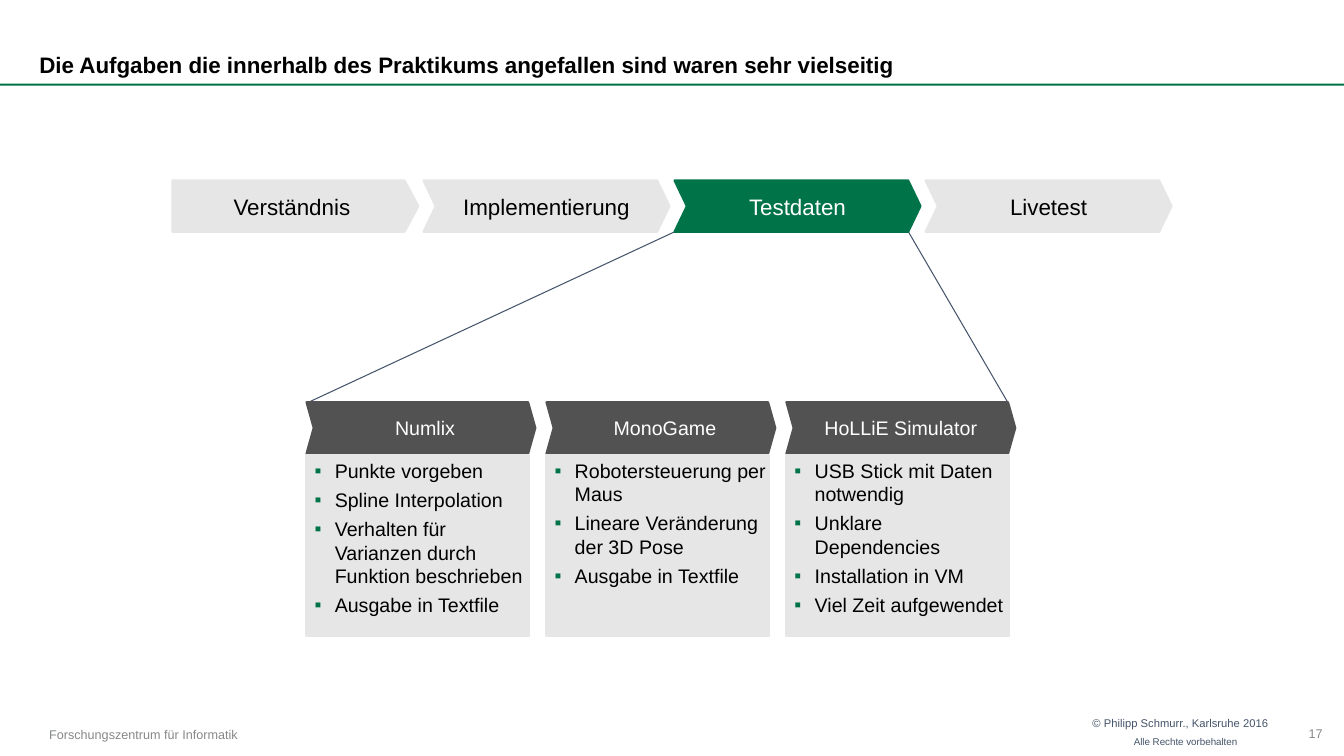
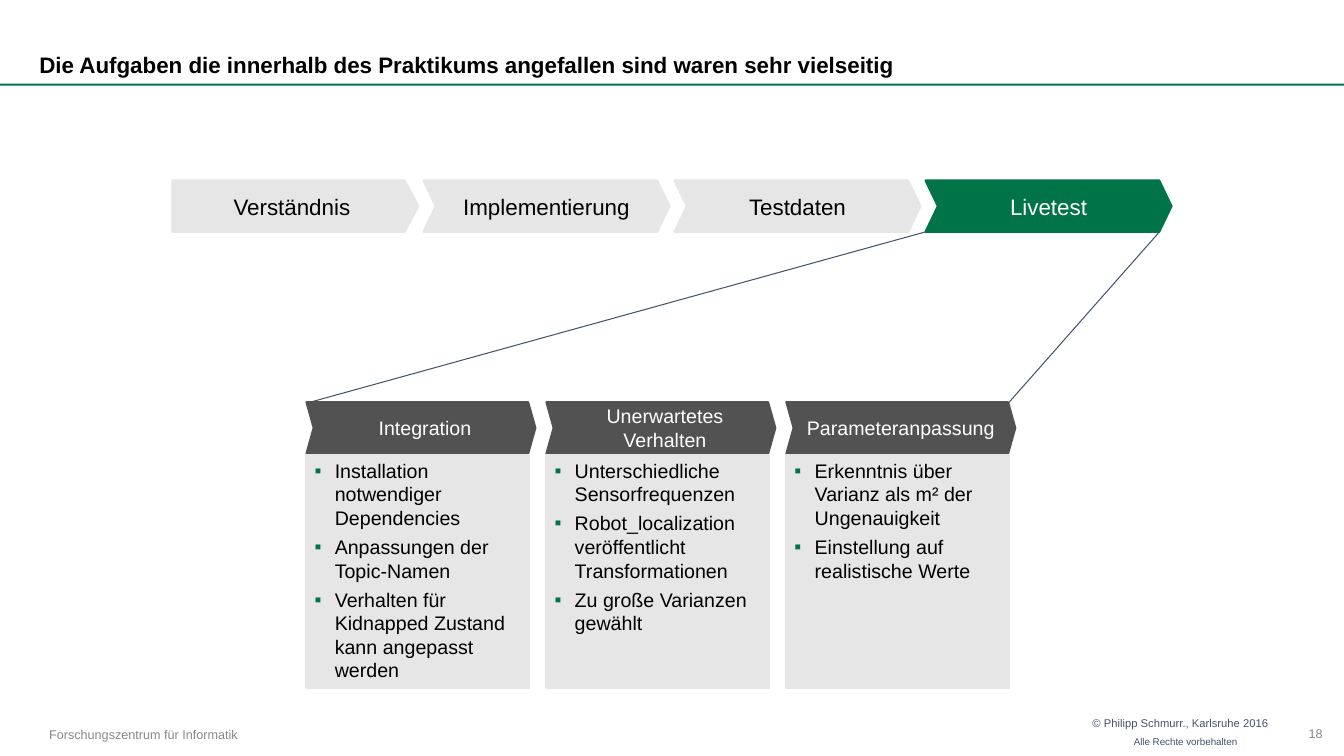
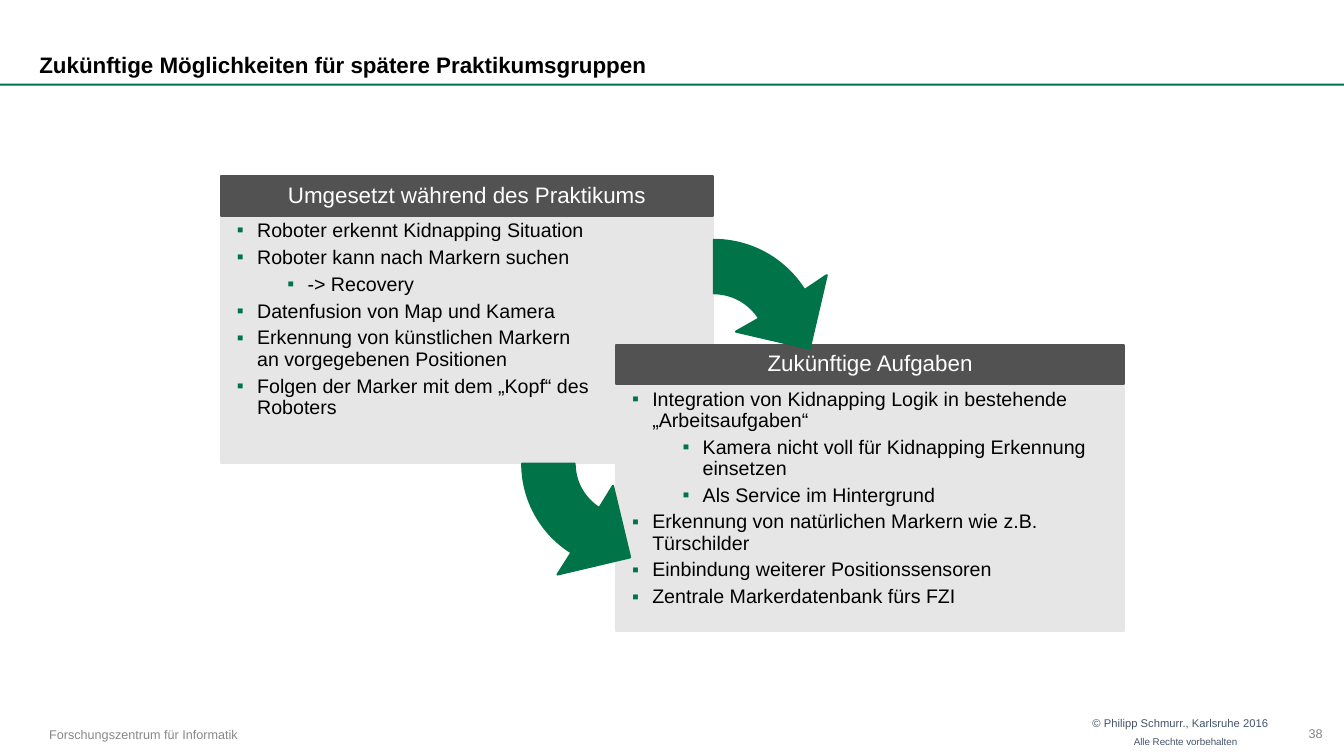
"""Build three slides on the tasks and the outlook of a robotics lab course."""
from math import cos, radians, sin

from lxml import etree
from pptx import Presentation
from pptx.dml.color import RGBColor
from pptx.enum.shapes import MSO_CONNECTOR, MSO_SHAPE as Kind
from pptx.enum.text import MSO_ANCHOR as Anchor, MSO_AUTO_SIZE, PP_ALIGN as Align
from pptx.oxml.ns import qn
from pptx.util import Inches, Pt

GREEN = RGBColor(0x00, 0x73, 0x48)
DARK = RGBColor(0x52, 0x52, 0x52)
LIGHT = RGBColor(0xE7, 0xE6, 0xE6)
SLATE = RGBColor(0x44, 0x54, 0x6A)
GREY = RGBColor(0x86, 0x88, 0x89)
BLACK = RGBColor(0x00, 0x00, 0x00)
WHITE = RGBColor(0xFF, 0xFF, 0xFF)
FONT = "Arial"


def write(shape, *lines, size, color=BLACK, bold=False, align=Align.LEFT, anchor=Anchor.TOP,
          insets=(0.1, 0.05, 0.1, 0.05), spacing=None, wrap=True, bullets=False, sub_items=()):
    """Fill a shape with one formatted paragraph per line."""
    frame = shape.text_frame
    frame.auto_size = MSO_AUTO_SIZE.NONE
    frame.word_wrap = wrap
    frame.vertical_anchor = anchor
    frame.margin_left, frame.margin_top, frame.margin_right, frame.margin_bottom = map(Inches, insets)
    for index, line in enumerate(lines):
        para = frame.add_paragraph() if index else frame.paragraphs[0]
        if bullets:
            level = 1 if index in sub_items else 0
            para.level = level
            props = para._p.get_or_add_pPr()
            props.set("marL", str(Inches(0.28 + 0.5 * level)))
            props.set("indent", str(Inches(-0.2)))
            tint = etree.SubElement(props, qn("a:buClr"))
            etree.SubElement(tint, qn("a:srgbClr"), val=str(GREEN))
            etree.SubElement(props, qn("a:buFont"), typeface=FONT)
            etree.SubElement(props, qn("a:buChar"), char="▪")
            para.space_before = Pt(2 if index else 0)
            para.space_after = Pt(2)
        para.alignment = align
        if spacing:
            para.line_spacing = spacing
        span = para.add_run()
        span.text = line
        span.font.name = FONT
        span.font.size = Pt(size)
        span.font.bold = bold
        span.font.color.rgb = color


def paint(shape, color):
    """Give a shape a flat fill with a matching outline."""
    shape.shadow.inherit = False
    shape.fill.solid()
    shape.fill.fore_color.rgb = color
    shape.line.color.rgb = color
    shape.line.width = Pt(1.5)
    return shape


deck = Presentation()
deck.slide_width, deck.slide_height = Inches(13.33), Inches(7.5)
layout = deck.slide_layouts[5]

TASKS = "Die Aufgaben die innerhalb des Praktikums angefallen sind waren sehr vielseitig"
OUTLOOK = "Zukünftige Möglichkeiten für spätere Praktikumsgruppen"
pages = []
for title, number in ((TASKS, "17"), (TASKS, "18"), (OUTLOOK, "38")):
    page = deck.slides.add_slide(layout)
    heading = page.shapes.title
    heading.left, heading.top, heading.width, heading.height = map(Inches, (0, 0, 10.97, 0.83))
    write(heading, title, size=16, bold=True, anchor=Anchor.BOTTOM, spacing=0.9,
          insets=(0.39, 0.05, 0.1, 0.05))
    box = page.shapes.add_textbox(*map(Inches, (12.88, 7.06, 0.45, 0.44)))
    write(box, number, size=9, color=GREY, anchor=Anchor.MIDDLE)
    pages.append(page)

shapes = pages[0].shapes
rule = paint(shapes.add_shape(Kind.RECTANGLE, *map(Inches, (0, 0.83, 13.33, 0.02))), GREEN)
rule.line.fill.background()
rights = shapes.add_textbox(*map(Inches, (10.71, 7.06, 1.97, 0.44)))
write(rights, "© Philipp Schmurr., Karlsruhe 2016", size=8, color=SLATE, align=Align.RIGHT, wrap=False)
reserved = shapes.add_textbox(*map(Inches, (11.02, 7.25, 1.35, 0.25)))
write(reserved, "Alle Rechte vorbehalten", size=7, color=SLATE, align=Align.RIGHT)
institute = shapes.add_textbox(*map(Inches, (0.39, 7.07, 2.13, 0.43)))
write(institute, "Forschungszentrum für Informatik", size=9, color=GREY, anchor=Anchor.MIDDLE)
for shared in (rule, rights, reserved, institute):
    layout.shapes.element.append(shared.element)

STEPS = ("Verständnis", "Implementierung", "Testdaten", "Livetest")
STEP_LEFT, STEP_PITCH = 1.71, 2.49
COLUMN_LEFT, COLUMN_PITCH = 3.04, 2.38
details = (
    (2, 1.8, (
        ("Numlix", ("Punkte vorgeben", "Spline Interpolation",
                    "Verhalten für Varianzen durch Funktion beschrieben", "Ausgabe in Textfile")),
        ("MonoGame", ("Robotersteuerung per Maus", "Lineare Veränderung der 3D Pose",
                      "Ausgabe in Textfile")),
        ("HoLLiE Simulator", ("USB Stick mit Daten notwendig", "Unklare Dependencies",
                              "Installation in VM", "Viel Zeit aufgewendet")),
    )),
    (3, 2.32, (
        ("Integration", ("Installation notwendiger Dependencies", "Anpassungen der Topic-Namen",
                         "Verhalten für Kidnapped Zustand kann angepasst werden")),
        ("Unerwartetes Verhalten", ("Unterschiedliche Sensorfrequenzen",
                                    "Robot_localization veröffentlicht Transformationen",
                                    "Zu große Varianzen gewählt")),
        ("Parameteranpassung", ("Erkenntnis über Varianz als m² der Ungenauigkeit",
                                "Einstellung auf realistische Werte")),
    )),
)
for page, (active, body_height, columns) in zip(pages, details):
    active_left = STEP_LEFT + active * STEP_PITCH
    for start, end in ((active_left, COLUMN_LEFT), (active_left + 2.32, 10)):
        line = page.shapes.add_connector(MSO_CONNECTOR.STRAIGHT, *map(Inches, (start, 2.3, end, 4)))
        line.line.color.rgb = SLATE
        line.line.width = Pt(0.75)
        etree.SubElement(line.element.spPr, qn("a:effectLst"))
    for index, name in enumerate(STEPS):
        kind, point = (Kind.CHEVRON, 0.24) if index else (Kind.PENTAGON, 0.27)
        place = (STEP_LEFT + index * STEP_PITCH, 1.79, 2.44, 0.51)
        step = paint(page.shapes.add_shape(kind, *map(Inches, place)),
                     GREEN if index == active else LIGHT)
        step.adjustments[0] = point
        write(step, name, size=16, color=WHITE if index == active else BLACK,
              align=Align.CENTER, anchor=Anchor.MIDDLE, wrap=False)
    for index, (name, items) in enumerate(columns):
        left = COLUMN_LEFT + index * COLUMN_PITCH
        header = paint(page.shapes.add_shape(Kind.CHEVRON, *map(Inches, (left, 3.99, 2.27, 0.51))), DARK)
        header.adjustments[0] = 0.14
        write(header, name, size=14, color=WHITE, align=Align.CENTER, anchor=Anchor.MIDDLE,
              insets=(0.18 if index < 2 else 0.1, 0.05, 0.1, 0.05))
        body = paint(page.shapes.add_shape(
            Kind.RECTANGLE, *map(Inches, (left, 4.51, 2.21, body_height))), LIGHT)
        write(body, *items, size=14, insets=(0, 0.04, 0, 0.04), bullets=True)

page = pages[2]
panels = (
    (2.19, 1.75, 4.88, 1.18, "Umgesetzt während des Praktikums", (2,), (
        "Roboter erkennt Kidnapping Situation",
        "Roboter kann nach Markern suchen",
        "-> Recovery",
        "Datenfusion von Map und Kamera",
        "Erkennung von künstlichen Markern an vorgegebenen Positionen",
        "Folgen der Marker mit dem „Kopf“ des Roboters")),
    (6.11, 3.42, 5.04, 0, "Zukünftige Aufgaben", (1, 2), (
        "Integration von Kidnapping Logik in bestehende „Arbeitsaufgaben“",
        "Kamera nicht voll für Kidnapping Erkennung einsetzen",
        "Als Service im Hintergrund",
        "Erkennung von natürlichen Markern wie z.B. Türschilder",
        "Einbindung weiterer Positionssensoren",
        "Zentrale Markerdatenbank fürs FZI")),
)
for left, top, width, right_inset, name, sub_items, items in panels:
    body = paint(page.shapes.add_shape(
        Kind.RECTANGLE, *map(Inches, (left, top + 0.4, width, 2.44))), LIGHT)
    write(body, *items, size=14, spacing=0.9, insets=(0.08, 0.04, right_inset, 0.04),
          bullets=True, sub_items=sub_items)
    header = paint(page.shapes.add_shape(Kind.RECTANGLE, *map(Inches, (left, top, width, 0.39))), DARK)
    write(header, name, size=16, color=WHITE, align=Align.CENTER, anchor=Anchor.MIDDLE,
          insets=(0, 0, 0, 0), spacing=0.9, wrap=False)

arrows = (
    (6.22, 4.6, 1.04, 180, -58, ((5.53, 5.7), (6.25, 5.53), (6.08, 4.82))),
    (7.08, 3.44, 1.06, -90, 58, ((8.2, 2.73), (8.03, 3.46), (7.3, 3.29))),
)
ARC_STEPS = 24
for center_x, center_y, radius, start, sweep, head in arrows:
    angles = [radians(start + sweep * step / ARC_STEPS) for step in range(ARC_STEPS + 1)]
    outer, inner = [[(center_x + reach * cos(angle), center_y + reach * sin(angle)) for angle in angles]
                    for reach in (radius, radius / 2)]
    outline = [(Inches(x), Inches(y)) for x, y in (*outer, *head, *reversed(inner))]
    builder = page.shapes.build_freeform(*outline[0])
    builder.add_line_segments(outline[1:], close=True)
    paint(builder.convert_to_shape(), GREEN)

deck.save("out.pptx")
